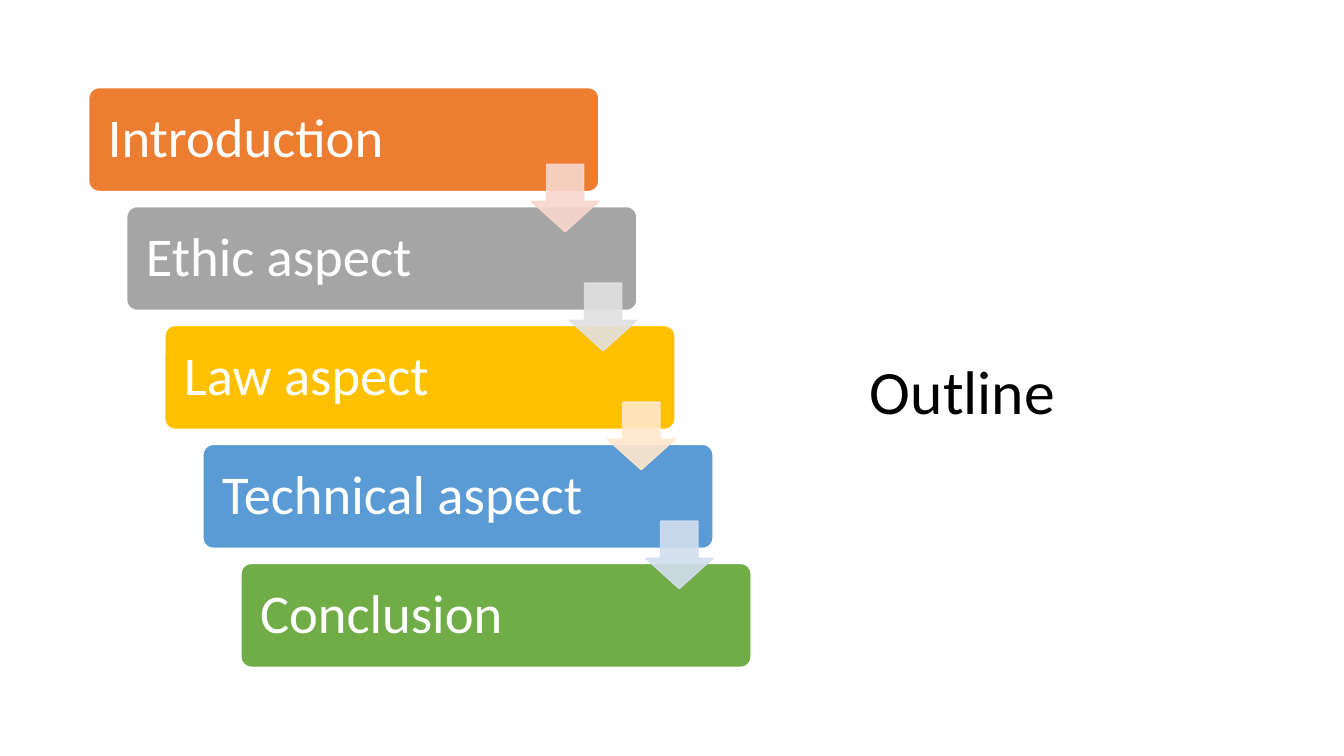
from dataclasses import dataclass

from lxml.etree import SubElement
from pptx import Presentation
from pptx.dml.color import RGBColor
from pptx.enum.shapes import MSO_SHAPE as Shape
from pptx.enum.text import MSO_ANCHOR as Anchor, PP_ALIGN as Align
from pptx.oxml.ns import qn
from pptx.util import Pt

PX = 9144  # EMU per px, 100 px to the inch


@dataclass(frozen=True)
class Theme:
    font: str = "Calibri"
    title_size: int = 44
    step_size: int = 39
    title_color: str = "000000"
    light: str = "FFFFFF"
    steps: tuple = ("ED7D31", "A5A5A5", "FFC000", "5B9BD5", "70AD47")
    arrows: tuple = ("F8D7CE", "E1E1E1", "FFE8CC", "D2DEEF")
    arrow_opacity: int = 90


THEME = Theme()
STEPS = ("Introduction", "Ethic aspect", "Law aspect", "Technical aspect", "Conclusion")


def emu(*lengths):
    return [round(length * PX) for length in lengths]


def write_text(shape, text, size, color, margin):
    frame = shape.text_frame
    frame.word_wrap = True
    frame.vertical_anchor = Anchor.MIDDLE
    frame.margin_left = frame.margin_right = margin * PX
    paragraph = frame.paragraphs[0]
    paragraph.text = text
    paragraph.alignment = Align.LEFT
    paragraph.line_spacing = 0.9
    paragraph.font.name = THEME.font
    paragraph.font.size = Pt(size)
    paragraph.font.color.rgb = RGBColor.from_string(color)


def add_filled(slide, kind, box, adjustments, fill, line, opacity=100):
    shape = slide.shapes.add_shape(kind, *emu(*box))
    shape.shadow.inherit = False
    for index, value in enumerate(adjustments):
        shape.adjustments[index] = value
    shape.line.width = Pt(1)
    for paint, color in ((shape.fill, fill), (shape.line.fill, line)):
        paint.solid()
        paint.fore_color.rgb = RGBColor.from_string(color)
    if opacity < 100:
        for color in shape.element.spPr.iter(qn("a:srgbClr")):
            SubElement(color, qn("a:alpha"), val=str(opacity * 1000))
    return shape


def add_staircase(slide, left, top, width, height):
    step_width, step_height = 506, 103
    arrow_size, arrow_left, arrow_top = 67, 439, 76
    shift = (width - step_width) / (len(STEPS) - 1)
    drop = (height - step_height) / (len(STEPS) - 1)
    corners = [(left + i * shift, top + i * drop) for i in range(len(STEPS))]

    # Steps
    for (x, y), text, color in zip(corners, STEPS, THEME.steps):
        step = add_filled(slide, Shape.ROUNDED_RECTANGLE, (x, y, step_width, step_height),
                          [0.1], color, THEME.light)
        write_text(step, text, THEME.step_size, THEME.light, 16)

    # Arrows from each step to the next
    for (x, y), color in zip(corners, THEME.arrows):
        box = (x + arrow_left, y + arrow_top, arrow_size, arrow_size)
        # Shaft width, then head length
        add_filled(slide, Shape.DOWN_ARROW, box, [0.55, 0.45], color, color,
                   THEME.arrow_opacity)


def add_title(slide, left, top, width, height):
    title = slide.shapes.add_textbox(*emu(left, top, width, height))
    write_text(title, "Outline", THEME.title_size, THEME.title_color, 10)


def main():
    presentation = Presentation()
    presentation.slide_width, presentation.slide_height = emu(1333, 750)
    slide = presentation.slides.add_slide(presentation.slide_layouts[6])
    add_title(slide, 853, 257, 383, 269)
    add_staircase(slide, 88, 87, 657, 575)
    presentation.save("out.pptx")


if __name__ == "__main__":
    main()
